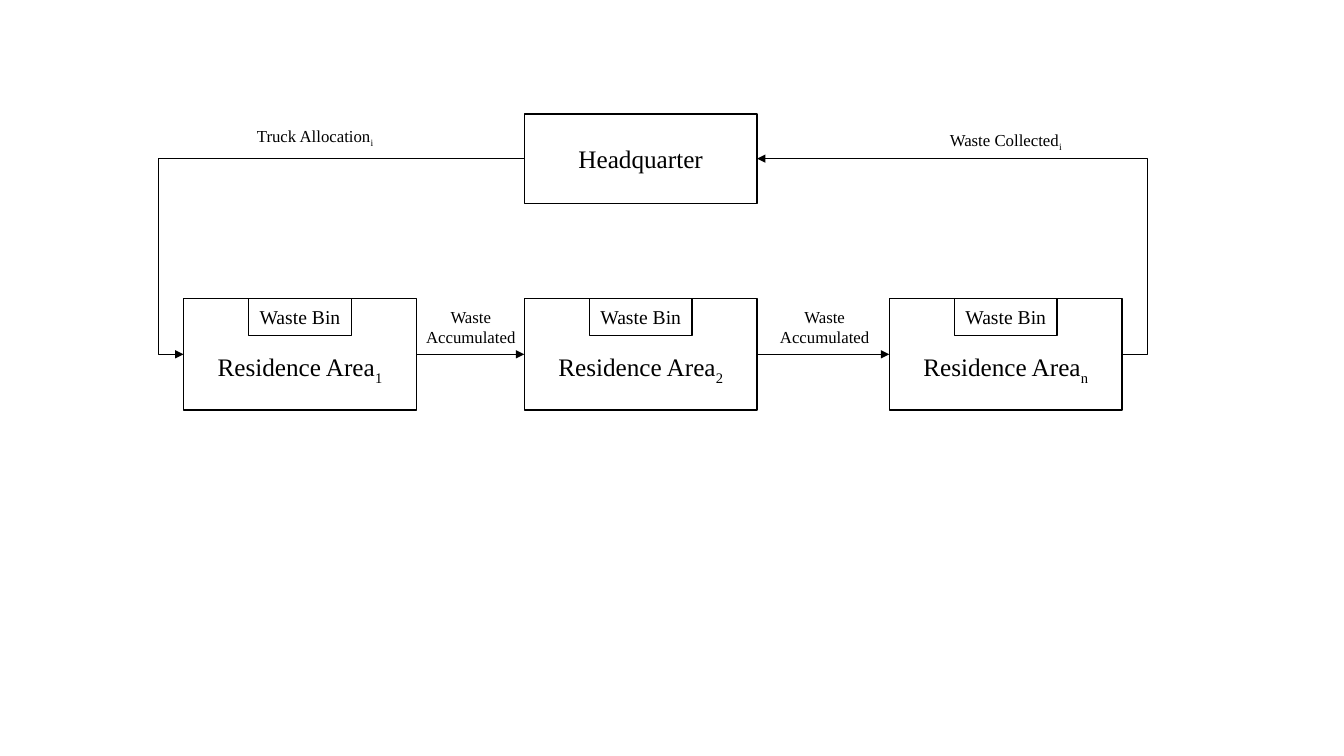
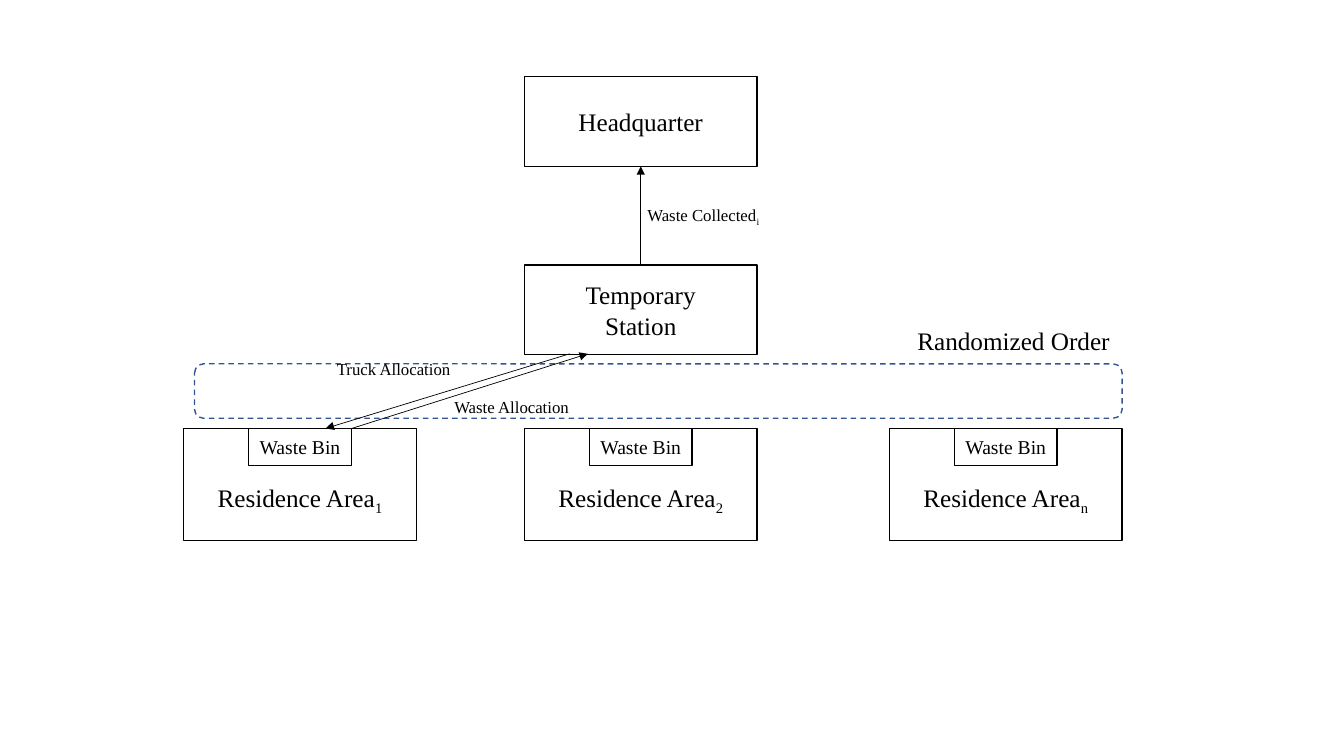
from lxml import etree
from pptx import Presentation
from pptx.dml.color import RGBColor
from pptx.enum.dml import MSO_LINE
from pptx.enum.shapes import MSO_CONNECTOR, MSO_SHAPE
from pptx.enum.text import MSO_ANCHOR, PP_ALIGN
from pptx.oxml.ns import qn
from pptx.util import Inches, Pt

RECT, ROUND_RECT = MSO_SHAPE.RECTANGLE, MSO_SHAPE.ROUNDED_RECTANGLE
STRAIGHT, ELBOW = MSO_CONNECTOR.STRAIGHT, MSO_CONNECTOR.ELBOW
MIDDLE, TOP_ANCHOR = MSO_ANCHOR.MIDDLE, MSO_ANCHOR.TOP
CENTER, LEFT_ALIGN = PP_ALIGN.CENTER, PP_ALIGN.LEFT
DASH = MSO_LINE.DASH
TOP, LEFT, BOTTOM, RIGHT = range(4)  # connection sites of a rectangle

COLORS = {"ink": "000000", "paper": "FFFFFF", "order": "325491"}
FONT = "Times New Roman"
NAME_SIZE, BIN_SIZE, LABEL_SIZE = 18, 14, 12

# Shared grid, in inches
COLUMNS = (1.82, 5.2, 8.82)
AREA_MARKS = ("1", "2", "n")
BOX_W, AREA_H, STATION_H = 2.31, 1.11, 0.89
BIN_W, BIN_H = 1.02, 0.37
NAME_DROP = 0.29  # lowers an area's name below its bin
LANE = 0.25  # distance of the bent arrows from the outer areas
LABEL_H = 0.3


def color(name):
    return RGBColor.from_string(COLORS[name])


def write(frame, text, size, subscript="", align=CENTER):
    """Fill a text frame; the subscript follows the last line."""
    frame.text = text
    if subscript:
        mark = frame.paragraphs[-1].add_run()
        mark.text = subscript
        mark._r.get_or_add_rPr().set("baseline", "-25000")
    for paragraph in frame.paragraphs:
        paragraph.alignment = align
        for run in paragraph.runs:
            run.font.name = FONT
            run.font.size = Pt(size)
            run.font.color.rgb = color("ink")


def add_box(slide, left, top, width, height, text, size=NAME_SIZE,
            subscript="", drop=0):
    box = slide.shapes.add_shape(
        RECT, Inches(left), Inches(top), Inches(width), Inches(height))
    box.shadow.inherit = False
    box.fill.solid()
    box.fill.fore_color.rgb = color("paper")
    box.line.color.rgb = color("ink")
    box.line.width = Pt(1)
    frame = box.text_frame
    frame.word_wrap = True
    frame.vertical_anchor = MIDDLE
    frame.margin_top = Inches(0.05 + drop)
    write(frame, text, size, subscript)
    return box


def add_label(slide, left, top, width, text, subscript="", height=LABEL_H,
              size=LABEL_SIZE, align=CENTER, wrap=True):
    label = slide.shapes.add_textbox(
        Inches(left), Inches(top), Inches(width), Inches(height))
    label.text_frame.word_wrap = wrap
    label.text_frame.vertical_anchor = TOP_ANCHOR
    write(label.text_frame, text, size, subscript, align)


def add_areas(slide, top):
    """Row of residence areas, each with a bin centred on its top edge."""
    areas = []
    for left, mark in zip(COLUMNS, AREA_MARKS):
        areas.append(add_box(slide, left, top, BOX_W, AREA_H, "Residence Area",
                             subscript=mark, drop=NAME_DROP))
        add_box(slide, left + (BOX_W - BIN_W) / 2, top, BIN_W, BIN_H,
                "Waste Bin", BIN_SIZE)
    return areas


def add_station(slide, top, text):
    return add_box(slide, COLUMNS[1], top, BOX_W, STATION_H, text)


def add_arrow(slide, start=(0, 0), end=(0, 0), kind=STRAIGHT):
    arrow = slide.shapes.add_connector(
        kind, *(Inches(value) for value in (*start, *end)))
    arrow.line.color.rgb = color("ink")
    arrow.line.width = Pt(0.5)
    properties = arrow._element.spPr
    head = etree.SubElement(properties.find(qn("a:ln")), qn("a:tailEnd"))
    head.set("type", "triangle")
    etree.SubElement(properties, qn("a:effectLst"))
    return arrow


def join(slide, source, source_side, target, target_side, kind=STRAIGHT):
    arrow = add_arrow(slide, kind=kind)
    arrow.begin_connect(source, source_side)
    arrow.end_connect(target, target_side)
    return arrow


def bend(arrow, lane_x):
    """Put the upright part of an elbow arrow at lane_x inches."""
    share = (Inches(lane_x) - arrow.begin_x) / (arrow.end_x - arrow.begin_x)
    geometry = arrow._element.spPr.find(qn("a:prstGeom"))
    guides = geometry.find(qn("a:avLst"))
    if guides is None:
        guides = etree.SubElement(geometry, qn("a:avLst"))
    guide = etree.SubElement(guides, qn("a:gd"))
    guide.set("name", "adj1")
    guide.set("fmla", f"val {round(share * 100000)}")


def build_chain(slide):
    areas = add_areas(slide, 2.96)
    headquarter = add_station(slide, 1.13, "Headquarter")

    # Trucks out, waste along the row, waste back
    trucks = join(slide, headquarter, LEFT, areas[0], LEFT, ELBOW)
    bend(trucks, COLUMNS[0] - LANE)
    for source, target in zip(areas, areas[1:]):
        join(slide, source, RIGHT, target, LEFT)
    collected = join(slide, areas[-1], RIGHT, headquarter, RIGHT, ELBOW)
    bend(collected, COLUMNS[-1] + BOX_W + LANE)

    # Arrow labels
    add_label(slide, 2.28, 1.2, 1.69, "Truck Allocation", "i")
    add_label(slide, 9.02, 1.24, 1.91, "Waste Collected", "i")
    for left in (3.97, 7.48):
        add_label(slide, left, 2.99, 1.4, "Waste\nAccumulated", height=0.5)


def add_order_band(slide):
    band = slide.shapes.add_shape(
        ROUND_RECT, Inches(1.93), Inches(3.61), Inches(9.2), Inches(0.54))
    band.shadow.inherit = False
    band.fill.background()
    band.line.color.rgb = color("order")
    band.line.width = Pt(1)
    band.line.dash_style = DASH


def build_transfer(slide):
    area_top, temporary_top = 4.25, 2.63
    temporary_bottom = temporary_top + STATION_H - 0.01
    add_order_band(slide)
    add_areas(slide, area_top)
    headquarter = add_station(slide, 0.76, "Headquarter")
    temporary = add_station(slide, temporary_top, "Temporary\nStation")

    # Waste up to headquarter, trucks down and waste up at the first area
    join(slide, temporary, TOP, headquarter, BOTTOM)
    add_arrow(slide, (5.65, temporary_bottom), (3.23, area_top))
    add_arrow(slide, (3.49, area_top), (5.83, temporary_bottom))

    # Arrow and band labels
    add_label(slide, 3.06, 3.51, 1.69, "Truck Allocation")
    add_label(slide, 6.02, 1.98, 1.91, "Waste Collected", "i")
    add_label(slide, 4.23, 3.89, 1.69, "Waste Allocation")
    add_label(slide, 9, 3.18, 2.13, "Randomized Order", height=0.4,
              size=NAME_SIZE, align=LEFT_ALIGN, wrap=False)


def main():
    deck = Presentation()
    deck.slide_width, deck.slide_height = Inches(13.33), Inches(7.5)
    blank = deck.slide_layouts[6]
    for build in (build_chain, build_transfer):
        build(deck.slides.add_slide(blank))
    deck.save("out.pptx")


if __name__ == "__main__":
    main()
